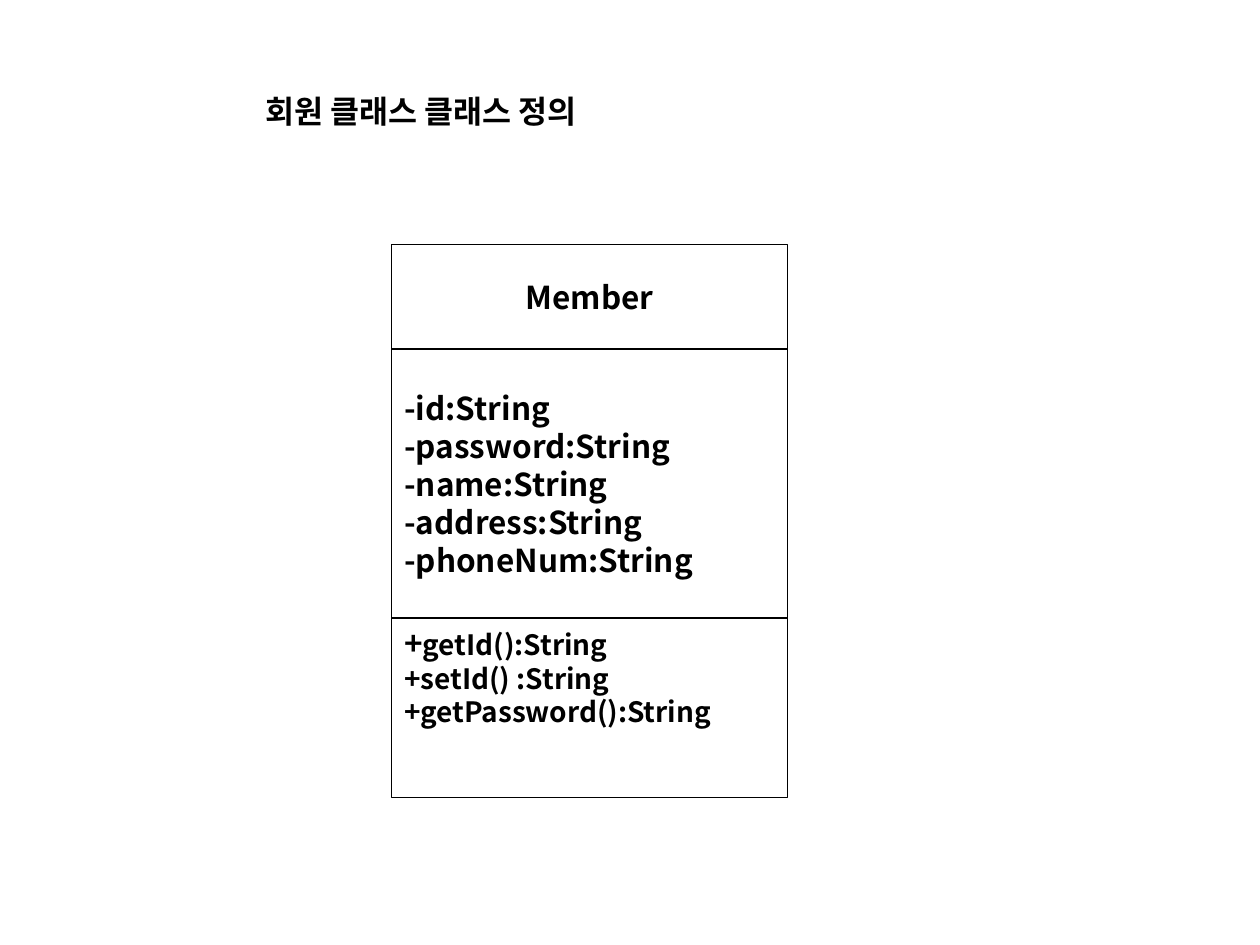
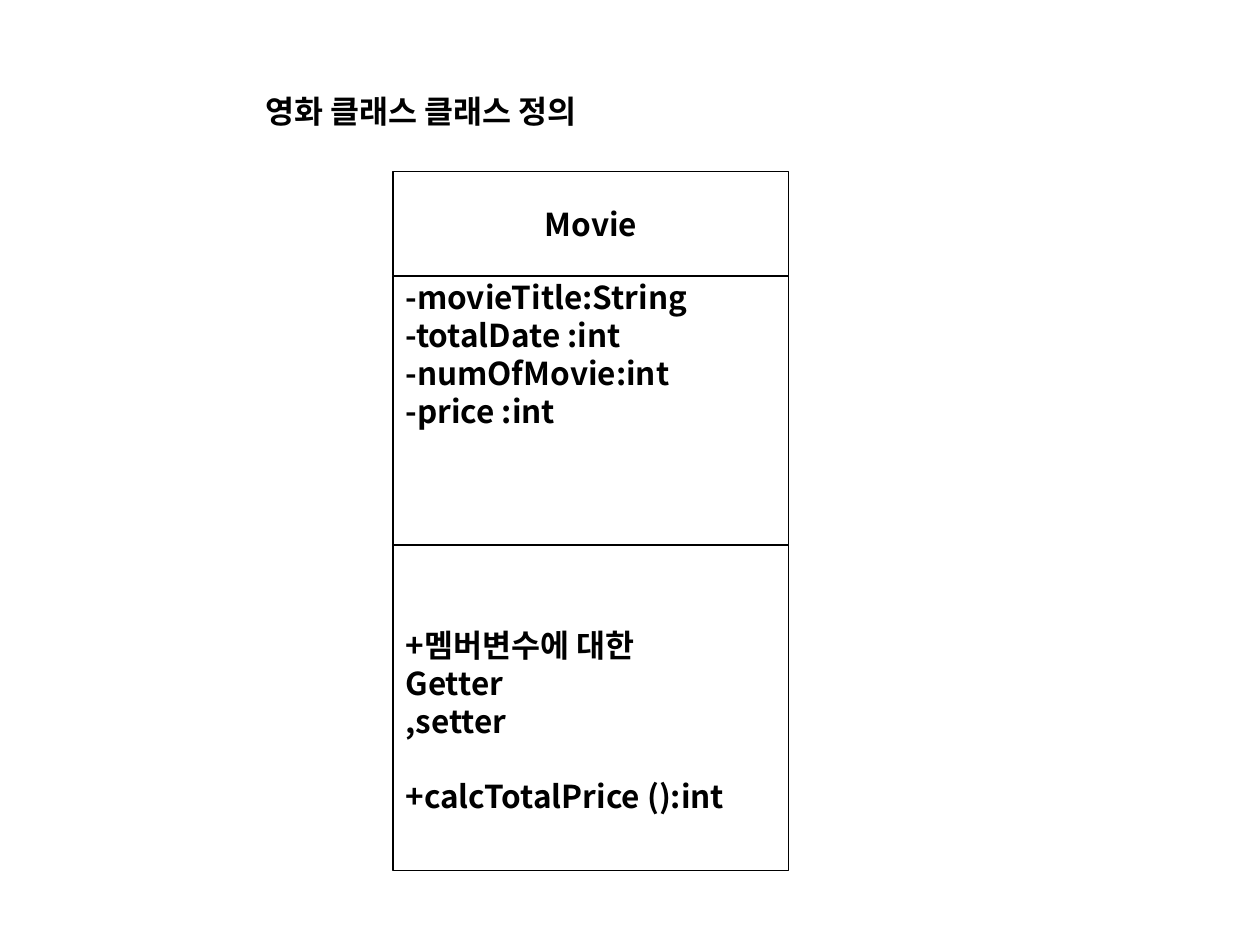
import lxml.etree
import pptx
import pptx.dml.color
import pptx.enum.shapes
import pptx.enum.text
import pptx.oxml.ns
import pptx.util

Inches = pptx.util.Inches
Pt = pptx.util.Pt
ALIGN = pptx.enum.text.PP_ALIGN
ANCHOR = pptx.enum.text.MSO_ANCHOR

BLACK = pptx.dml.color.RGBColor(0, 0, 0)
FONT = "Noto Sans CJK KR"
INSET = 0.05
BOX_WIDTH = 3.14
NAME_HEIGHT = 0.83
FIELDS_HEIGHT = 2.14


def style_run(run, size):
    run.font.name = FONT
    run.font.size = Pt(size)
    run.font.bold = True
    run.font.color.rgb = BLACK
    east_asian = lxml.etree.SubElement(run.font._element, pptx.oxml.ns.qn("a:ea"))
    east_asian.set("typeface", FONT)


def write_lines(frame, lines, size=18, align=ALIGN.LEFT, anchor=ANCHOR.TOP, inset=INSET):
    frame.text = "\n".join(lines)
    frame.word_wrap = True
    frame.vertical_anchor = anchor
    frame.margin_left = frame.margin_right = Inches(0.1)
    frame.margin_top = Inches(inset)
    frame.margin_bottom = Inches(INSET)
    for paragraph in frame.paragraphs:
        paragraph.alignment = align
        for run in paragraph.runs:
            style_run(run, size)


def add_title(slide, title):
    box = slide.shapes.add_textbox(Inches(2.01), Inches(0.68), Inches(3.86), Inches(0.4))
    write_lines(box.text_frame, [title])


def add_compartment(slide, left, top, height, lines, **text_style):
    box = slide.shapes.add_shape(
        pptx.enum.shapes.MSO_SHAPE.RECTANGLE,
        Inches(left), Inches(top), Inches(BOX_WIDTH), Inches(height))
    box.shadow.inherit = False
    box.fill.background()
    box.line.color.rgb = BLACK
    box.line.width = Pt(0.75)
    write_lines(box.text_frame, lines, **text_style)
    return box.text_frame.paragraphs


def add_class(slide, left, top, name, fields, methods, methods_height, fields_style, methods_style):
    fields_top = top + NAME_HEIGHT
    methods_top = fields_top + FIELDS_HEIGHT - 0.01
    add_compartment(slide, left, top, NAME_HEIGHT, [name],
                    align=ALIGN.CENTER, anchor=ANCHOR.MIDDLE)
    add_compartment(slide, left, fields_top, FIELDS_HEIGHT, fields, **fields_style)
    return add_compartment(slide, left, methods_top, methods_height, methods, **methods_style)


def add_member_slide(slide):
    add_title(slide, "회원 클래스 클래스 정의")
    methods = add_class(
        slide, 3.11, 1.94, "Member",
        ["-id:String", "-password:String", "-name:String", "-address:String", "-phoneNum:String"],
        ["+", "+setId() :String", "+getPassword():String"],
        1.43, {"anchor": ANCHOR.MIDDLE}, {"size": 16})
    getter = methods[0]
    getter.runs[0].font.size = Pt(18)
    signature = getter.add_run()
    signature.text = "getId():String"
    style_run(signature, 16)


def add_movie_slide(slide):
    add_title(slide, "영화 클래스 클래스 정의")
    methods = add_class(
        slide, 3.12, 1.36, "Movie",
        ["-movieTitle:String", "-totalDate :int", "-numOfMovie:int", "-price :int"],
        ["+멤버변수에 대한", "Getter", ",setter", "+calcTotalPrice ():int"],
        2.59, {"inset": 0.02}, {"inset": 0.65})
    methods[-1].space_before = Pt(21.5)


def main():
    deck = pptx.Presentation()
    deck.slide_width = Inches(10)
    deck.slide_height = Inches(7.5)
    for fill_slide in (add_member_slide, add_movie_slide):
        fill_slide(deck.slides.add_slide(deck.slide_layouts[6]))
    deck.save("out.pptx")


if __name__ == "__main__":
    main()
